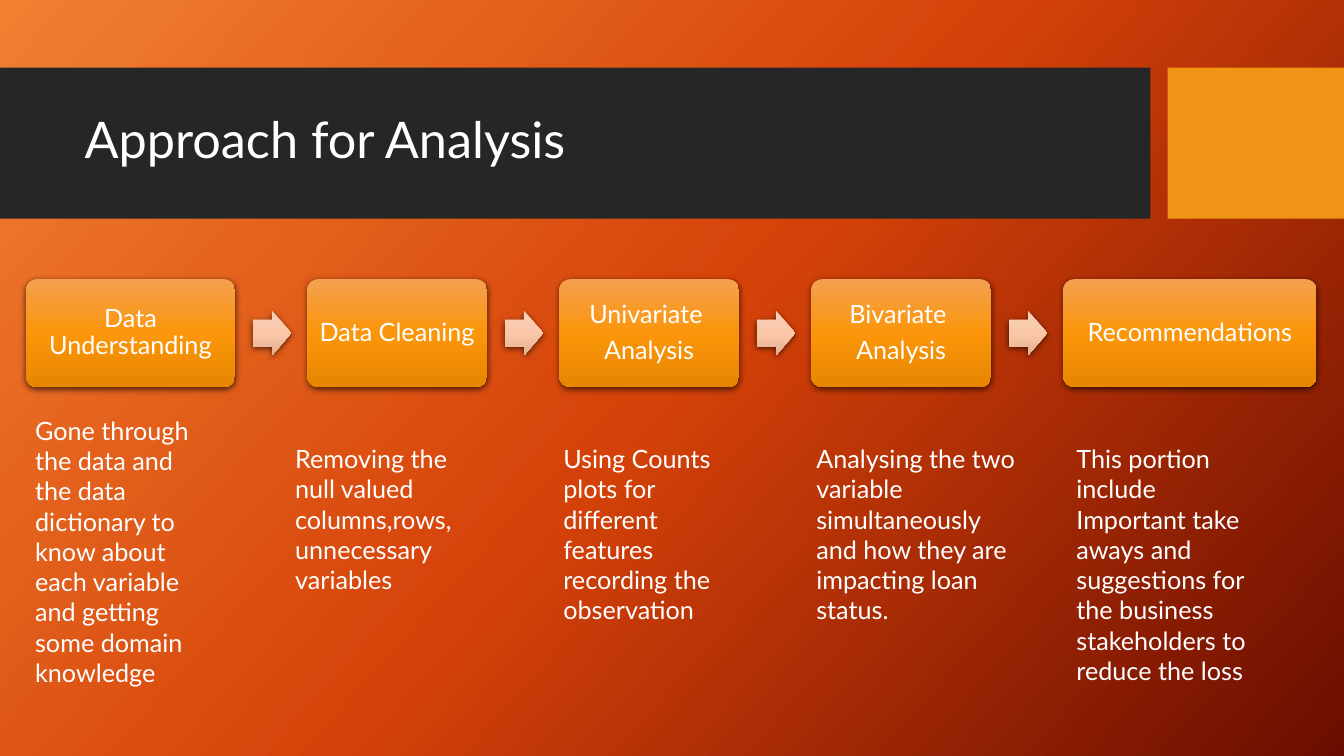
from collections import namedtuple
from copy import deepcopy

from lxml import etree
from pptx import Presentation
from pptx import util as u
from pptx.dml.color import RGBColor
from pptx.enum import shapes, text
from pptx.oxml import ns

Box = namedtuple("Box", "left top width height")
Step = namedtuple("Step", "width lines note_left note_top note_width note_height note")

UNIT = u.Inches(0.1)
COLUMNS, ROWS = 133.33, 75
FONT = "Lato"
WHITE = RGBColor(0xFF, 0xFF, 0xFF)
CHARCOAL = RGBColor(0x26, 0x26, 0x26)
AMBER = RGBColor(0xF0, 0x94, 0x15)
BACKDROP = [RGBColor(0xF1, 0x80, 0x31), RGBColor(0xD5, 0x42, 0x09), RGBColor(0x6A, 0x0D, 0x00)]
STEP_COLORS = [RGBColor(0xF4, 0xA0, 0x50), RGBColor(0xFB, 0x96, 0x0A), RGBColor(0xE8, 0x86, 0x00)]
ARROW_COLORS = [RGBColor(0xF8, 0xD1, 0xB9), RGBColor(0xFA, 0xC7, 0xA8), RGBColor(0xE3, 0xB0, 0x90)]

STEP_GAP = 7.2
STEP_HEIGHT = 10.7
STEPS = [
    Step(20.7, ["Data Understanding"], -0.1, 13, 18.8, 34.3,
         "Gone through the data and the data dictionary to know about each variable "
         "and getting some domain knowledge"),
    Step(17.8, ["Data Cleaning"], -2.2, 15.8, 19.7, 16.2,
         "Removing the null valued columns,rows, unnecessary variables"),
    Step(17.8, ["Univariate ", "Analysis"], -0.6, 15.8, 18, 19.2,
         "Using Counts plots for different features recording the observation"),
    Step(17.8, ["Bivariate ", "Analysis"], -0.5, 15.8, 21.9, 19.2,
         "Analysing the two variable simultaneously and how they are impacting loan status."),
    Step(25.1, ["Recommendations"], 0.3, 15.8, 20.9, 25.2,
         "This portion include Important take aways and suggestions for the business "
         "stakeholders to reduce the loss"),
]


def place(box):
    """Turn a box in grid units into slide lengths."""
    return [round(length * UNIT) for length in box]


def paint_gradient(fill, element, colors, angle):
    """Fill with three evenly spread colours at a clockwise angle."""
    fill.gradient()
    fill.gradient_angle = 360 - angle
    stops = element.xpath(".//a:gsLst")[0]
    stops.append(deepcopy(stops[-1]))
    for index, (stop, color) in enumerate(zip(fill.gradient_stops, colors)):
        stop.position = index / 2
        stop.color.rgb = color


def add_plain(slide, kind, box):
    """Add a preset shape without outline or shadow."""
    shape = slide.shapes.add_shape(kind, *place(box))
    shape.shadow.inherit = False
    shape.line.fill.background()
    return shape


def add_glossy(slide, kind, box, adjustments, colors):
    """Add a preset shape with a vertical gradient and a soft shadow."""
    shape = add_plain(slide, kind, box)
    for index, value in enumerate(adjustments):
        shape.adjustments[index] = value
    paint_gradient(shape.fill, shape.element, colors, 90)
    effects = shape.element.spPr.find(ns.qn("a:effectLst"))
    shadow = etree.SubElement(effects, ns.qn("a:outerShdw"), blurRad=str(u.Pt(4.5)),
                              dist=str(u.Pt(1.5)), dir="5400000", rotWithShape="0")
    black = etree.SubElement(shadow, ns.qn("a:srgbClr"), val="000000")
    etree.SubElement(black, ns.qn("a:alpha"), val="63000")
    return shape


def write(frame, lines, size, spacing=1.0, after=0, align=text.PP_ALIGN.LEFT):
    """Write each line as a white paragraph in a wrapping frame."""
    frame.word_wrap = True
    frame.text = "\n".join(lines)
    for paragraph in frame.paragraphs:
        paragraph.alignment = align
        paragraph.line_spacing = spacing
        paragraph.space_after = u.Pt(after)
        paragraph.font.name = FONT
        paragraph.font.size = u.Pt(size)
        paragraph.font.color.rgb = WHITE


def draw_header(slide, box, heading):
    """Draw the dark title band and the amber block at its right."""
    block_width = 17.5
    band = box._replace(width=box.width - block_width - 1.7)
    block = box._replace(left=box.left + box.width - block_width, width=block_width)
    for part, color in ((band, CHARCOAL), (block, AMBER)):
        shape = add_plain(slide, shapes.MSO_SHAPE.RECTANGLE, part)
        shape.fill.solid()
        shape.fill.fore_color.rgb = color
    title_box = Box(band.left + 7.4, band.top + 1.5, 105.1, 11.8)
    frame = slide.shapes.add_textbox(*place(title_box)).text_frame
    frame.vertical_anchor = text.MSO_ANCHOR.MIDDLE
    write(frame, [heading], 36, spacing=0.9)


def draw_step(slide, box, lines):
    """Draw one labelled step of the process."""
    frame = add_glossy(slide, shapes.MSO_SHAPE.ROUNDED_RECTANGLE, box, [0.1],
                       STEP_COLORS).text_frame
    frame.margin_left = frame.margin_right = u.Inches(0.07)
    frame.margin_top = frame.margin_bottom = u.Inches(0.07)
    frame.vertical_anchor = text.MSO_ANCHOR.MIDDLE
    write(frame, lines, 18, spacing=0.9, after=6.3, align=text.PP_ALIGN.CENTER)


def draw_arrow(slide, gap):
    """Draw the arrow centred in the gap between two steps."""
    width, height = 3.8, 4.4
    arrow = Box(gap.left + (gap.width - width) / 2 + 0.1,
                gap.top + (gap.height - height) / 2, width, height)
    add_glossy(slide, shapes.MSO_SHAPE.RIGHT_ARROW, arrow, [0.6, 0.5], ARROW_COLORS)


def draw_note(slide, box, note):
    """Write the explanation below a step."""
    frame = slide.shapes.add_textbox(*place(box)).text_frame
    write(frame, [note], 18)
    frame.auto_size = text.MSO_AUTO_SIZE.SHAPE_TO_FIT_TEXT


def draw_process(slide, box, steps):
    """Lay the steps out from left to right with arrows and notes."""
    left = box.left
    for step in steps:
        if left > box.left:
            draw_arrow(slide, Box(left - STEP_GAP, box.top, STEP_GAP, STEP_HEIGHT))
        draw_step(slide, Box(left, box.top, step.width, STEP_HEIGHT), step.lines)
        draw_note(slide, Box(left + step.note_left, box.top + step.note_top,
                             step.note_width, step.note_height), step.note)
        left += step.width + STEP_GAP


def main():
    """Build and save the slide."""
    deck = Presentation()
    deck.slide_width, deck.slide_height = round(COLUMNS * UNIT), ROWS * UNIT
    slide = deck.slides.add_slide(deck.slide_layouts[6])
    paint_gradient(slide.background.fill, slide.element, BACKDROP, 42)
    draw_header(slide, Box(0, 6.7, COLUMNS, 15), "Approach for Analysis")
    draw_process(slide, Box(2.6, 27.7, 128, 47.3), STEPS)
    deck.save("out.pptx")


if __name__ == "__main__":
    main()
